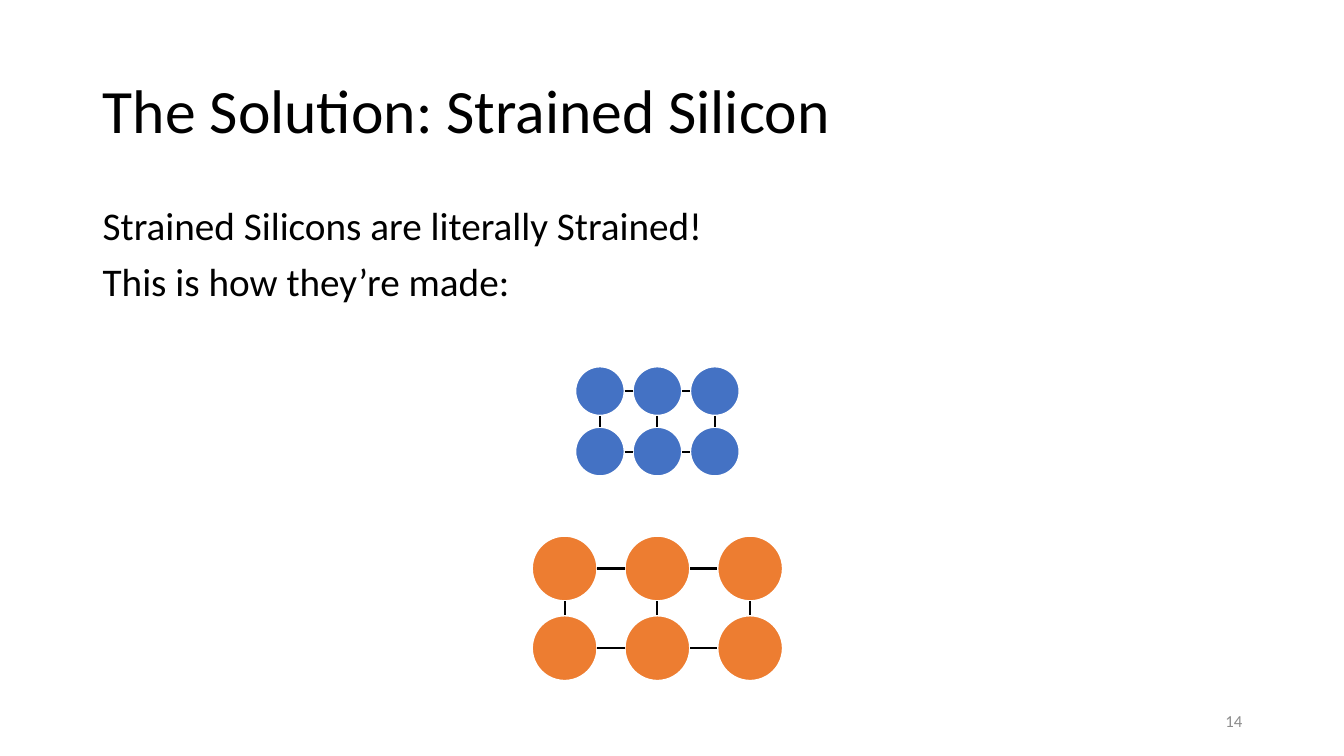
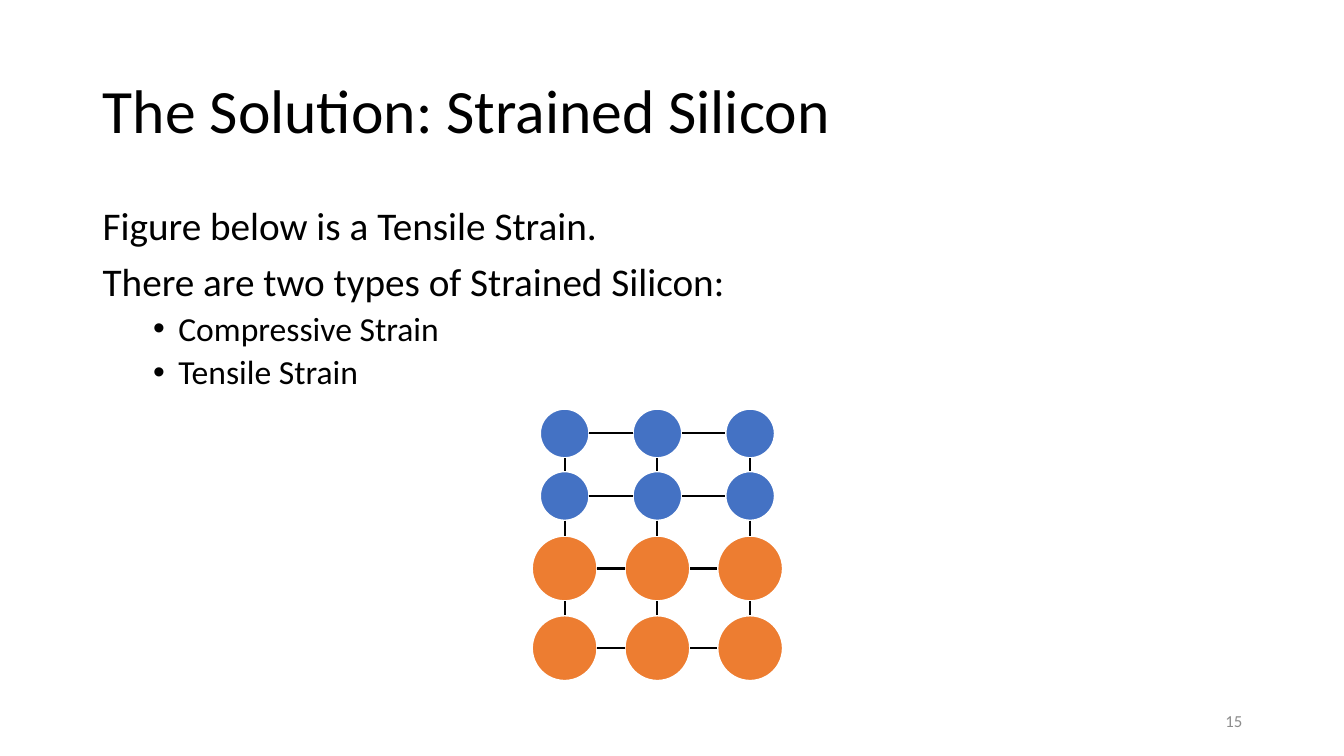
import dataclasses
import itertools
import typing

import lxml.etree
import pptx
import pptx.dml.color
import pptx.enum.shapes
import pptx.enum.text
import pptx.oxml.ns
import pptx.util

Inches = pptx.util.Inches
Pt = pptx.util.Pt


@dataclasses.dataclass(frozen=True)
class Theme:
    font: str = "Calibri"
    text: str = "000000"
    muted: str = "8C8C8C"
    outline: str = "FFFFFF"
    silicon: str = "4472C4"
    substrate: str = "ED7D31"
    title_size: int = 44
    body_size: int = 28
    bullet_size: int = 24
    number_size: int = 12
    line_width: float = 1.5


THEME = Theme()
TITLE = "The Solution: Strained Silicon"
TITLE_BOX = (0.92, 0.4, 11.5, 1.45)
BODY_BOX = (0.92, 2, 11.5, 4.76)
NUMBER_BOX = (9.42, 6.95, 3, 0.4)
LATTICE_CENTER = 6.52
COLUMNS = (-1, 0, 1)


@dataclasses.dataclass(frozen=True)
class AtomRow:
    center_y: float
    diameter: float
    pitch: float
    color: str

    def centers(self) -> list[float]:
        return [LATTICE_CENTER + column * self.pitch for column in COLUMNS]


@dataclasses.dataclass(frozen=True)
class Line:
    text: str
    bulleted: bool = False


@dataclasses.dataclass(frozen=True)
class Page:
    number: int
    lines: tuple[Line, ...]
    lattices: tuple[tuple[AtomRow, ...], ...]


def atom_rows(
    centers_y: tuple[float, ...], diameter: float, pitch: float, color: str
) -> tuple[AtomRow, ...]:
    return tuple(AtomRow(y, diameter, pitch, color) for y in centers_y)


SUBSTRATE = atom_rows((5.64, 6.43), 0.65, 0.92, THEME.substrate)
RELAXED = atom_rows((3.88, 4.48), 0.49, 0.57, THEME.silicon)
STRETCHED = atom_rows((4.3, 4.92), 0.49, 0.92, THEME.silicon)

PAGES = (
    Page(
        14,
        (
            Line("Strained Silicons are literally Strained!"),
            Line("This is how they’re made:"),
        ),
        (RELAXED, SUBSTRATE),
    ),
    Page(
        15,
        (
            Line("Figure below is a Tensile Strain."),
            Line("There are two types of Strained Silicon:"),
            Line("Compressive Strain", bulleted=True),
            Line("Tensile Strain", bulleted=True),
        ),
        (STRETCHED + SUBSTRATE,),
    ),
)


def apply_format(target: typing.Any, values: dict[str, typing.Any]) -> None:
    for name, value in values.items():
        setattr(target, name, value)


def rgb(color: str) -> pptx.dml.color.RGBColor:
    return pptx.dml.color.RGBColor.from_string(color)


def place(shape: typing.Any, box: tuple[float, ...]) -> None:
    names = ("left", "top", "width", "height")
    apply_format(shape, dict(zip(names, map(Inches, box))))


def write(
    paragraph: typing.Any, text: str, size: int, color: str, **layout: typing.Any
) -> None:
    run = paragraph.add_run()
    run.text = text
    apply_format(run.font, {"name": THEME.font, "size": Pt(size)})
    run.font.color.rgb = rgb(color)
    apply_format(paragraph, layout)


def frame_text(shape: typing.Any, anchor: typing.Any) -> typing.Any:
    apply_format(
        shape.text_frame,
        {
            "word_wrap": True,
            "auto_size": pptx.enum.text.MSO_AUTO_SIZE.NONE,
            "vertical_anchor": anchor,
        },
    )
    return shape.text_frame


def add_text_box(
    slide: typing.Any, box: tuple[float, ...], anchor: typing.Any
) -> typing.Any:
    return frame_text(slide.shapes.add_textbox(*map(Inches, box)), anchor)


def add_bullet(paragraph: typing.Any) -> None:
    properties = paragraph._p.get_or_add_pPr()
    properties.set("marL", str(Inches(0.75)))
    properties.set("indent", str(Inches(-0.25)))
    for tag, name, value in (
        ("a:buFont", "typeface", "Arial"),
        ("a:buChar", "char", "•"),
    ):
        bullet = lxml.etree.SubElement(properties, pptx.oxml.ns.qn(tag))
        bullet.set(name, value)


def add_title(slide: typing.Any) -> None:
    title = slide.shapes.title
    place(title, TITLE_BOX)
    text_frame = frame_text(title, pptx.enum.text.MSO_ANCHOR.MIDDLE)
    write(
        text_frame.paragraphs[0], TITLE, THEME.title_size, THEME.text,
        alignment=pptx.enum.text.PP_ALIGN.LEFT, line_spacing=0.9,
    )


def add_body(slide: typing.Any, lines: tuple[Line, ...]) -> None:
    text_frame = add_text_box(slide, BODY_BOX, pptx.enum.text.MSO_ANCHOR.TOP)
    for index, line in enumerate(lines):
        paragraph = text_frame.add_paragraph() if index else text_frame.paragraphs[0]
        size = THEME.bullet_size if line.bulleted else THEME.body_size
        write(
            paragraph, line.text, size, THEME.text,
            level=int(line.bulleted), line_spacing=0.9,
            space_before=Pt(5 if line.bulleted else 10),
        )
        if line.bulleted:
            add_bullet(paragraph)


def add_page_number(slide: typing.Any, number: int) -> None:
    text_frame = add_text_box(slide, NUMBER_BOX, pptx.enum.text.MSO_ANCHOR.MIDDLE)
    write(
        text_frame.paragraphs[0], str(number), THEME.number_size, THEME.muted,
        alignment=pptx.enum.text.PP_ALIGN.RIGHT,
    )


def style_line(line: typing.Any, color: str) -> None:
    line.color.rgb = rgb(color)
    line.width = Pt(THEME.line_width)


def add_atom(slide: typing.Any, x: float, row: AtomRow) -> None:
    radius = row.diameter / 2
    box = (x - radius, row.center_y - radius, row.diameter, row.diameter)
    atom = slide.shapes.add_shape(
        pptx.enum.shapes.MSO_SHAPE.OVAL, *map(Inches, box)
    )
    atom.shadow.inherit = False
    atom.fill.solid()
    atom.fill.fore_color.rgb = rgb(row.color)
    style_line(atom.line, THEME.outline)


def add_bond(slide: typing.Any, *ends: float) -> None:
    bond = slide.shapes.add_connector(
        pptx.enum.shapes.MSO_CONNECTOR.STRAIGHT, *map(Inches, ends)
    )
    style_line(bond.line, THEME.text)
    lxml.etree.SubElement(bond._element.spPr, pptx.oxml.ns.qn("a:effectLst"))


def add_lattice(slide: typing.Any, rows: tuple[AtomRow, ...]) -> None:
    for row in rows:
        radius = row.diameter / 2
        for x in row.centers():
            add_atom(slide, x, row)
        for left, right in itertools.pairwise(row.centers()):
            add_bond(slide, left + radius, row.center_y, right - radius, row.center_y)
    for upper, lower in itertools.pairwise(rows):
        top = upper.center_y + upper.diameter / 2
        bottom = lower.center_y - lower.diameter / 2
        for x in upper.centers():
            add_bond(slide, x, top, x, bottom)


def add_page(presentation: typing.Any, page: Page) -> None:
    layout = presentation.slide_layouts.get_by_name("Title Only")
    slide = presentation.slides.add_slide(layout)
    add_title(slide)
    add_body(slide, page.lines)
    add_page_number(slide, page.number)
    for rows in page.lattices:
        add_lattice(slide, rows)


def main() -> None:
    presentation = pptx.Presentation()
    apply_format(
        presentation,
        {"slide_width": Inches(13.33), "slide_height": Inches(7.5)},
    )
    for page in PAGES:
        add_page(presentation, page)
    presentation.save("out.pptx")


if __name__ == "__main__":
    main()
